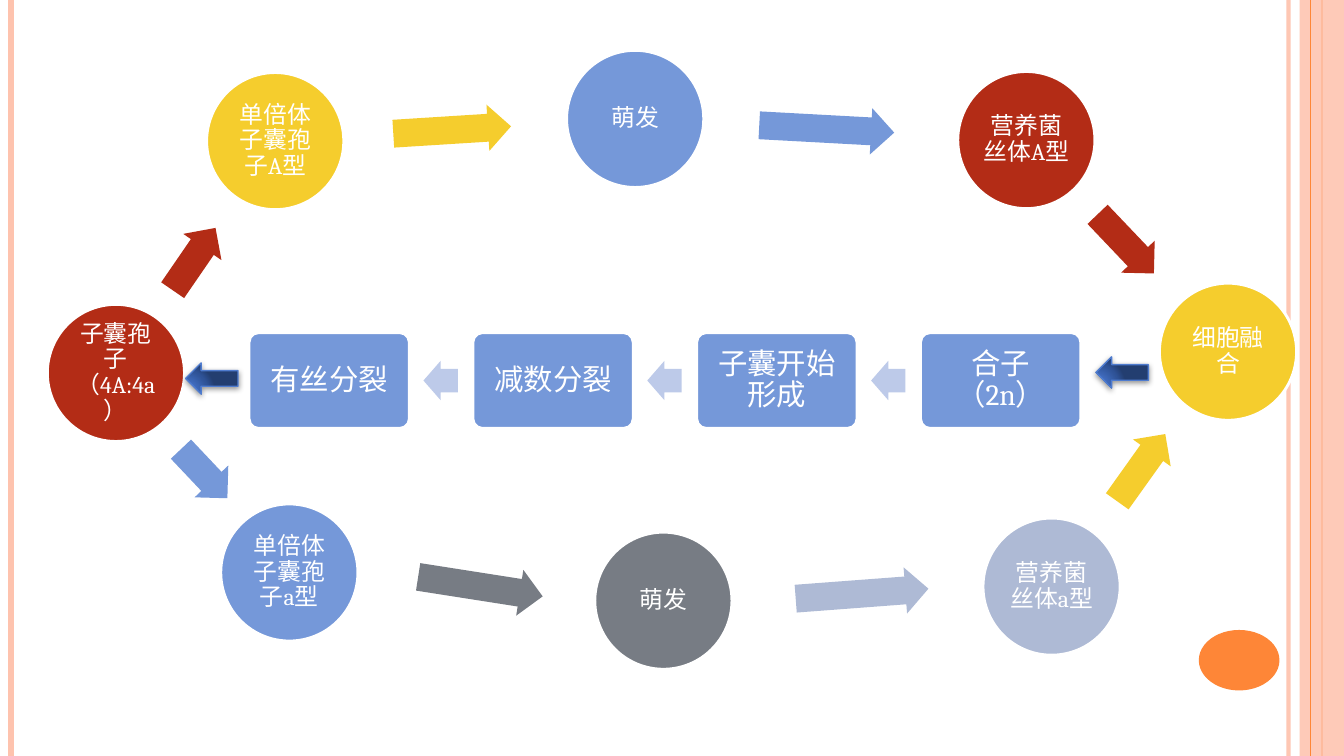
from dataclasses import dataclass

from lxml import etree
from pptx import Presentation
from pptx import util as u
from pptx.dml.color import RGBColor
from pptx.enum import shapes, text
from pptx.oxml import ns

WHITE = RGBColor(0xFF, 0xFF, 0xFF)
PEACH = RGBColor(0xFE, 0xC3, 0xAE)
ORANGE = RGBColor(0xFE, 0x86, 0x37)
BLUE = RGBColor(0x75, 0x98, 0xD9)
PALE = RGBColor(0xBD, 0xCA, 0xE9)
RED = RGBColor(0xB3, 0x2C, 0x16)
YELLOW = RGBColor(0xF5, 0xCD, 0x2D)
MIST = RGBColor(0xAE, 0xBA, 0xD5)
GRAY = RGBColor(0x77, 0x7C, 0x84)
NAVY = RGBColor(0x4F, 0x7C, 0xCF)

FONT = "Cambria"
WIDTH, HEIGHT = 13.33, 7.5
DISC = 1.36
BOX_X, BOX_Y, BOX_W, BOX_H, BOX_STEP = 2.47, 3.3, 1.59, 0.95, 2.22
KIND = shapes.MSO_SHAPE

GLOSS = f"""<a:gradFill {ns.nsdecls("a")} rotWithShape="1"><a:gsLst>
<a:gs pos="0"><a:srgbClr val="4574CC"/></a:gs>
<a:gs pos="30000"><a:srgbClr val="4370C5"/></a:gs>
<a:gs pos="75000"><a:srgbClr val="2F5397"/></a:gs>
<a:gs pos="100000"><a:srgbClr val="233E70"/></a:gs></a:gsLst>
<a:path path="circle"><a:fillToRect l="5000" t="100000" r="120000" b="10000"/></a:path>
</a:gradFill>"""
SHADE = f"""<a:outerShdw {ns.nsdecls("a")} blurRad="50800" dist="20320"
dir="5400000" rotWithShape="0"><a:srgbClr val="000000"><a:alpha val="42000"/></a:srgbClr>
</a:outerShdw>"""


@dataclass
class Rule:
    x: float
    color: RGBColor
    width: float
    alpha: int = 100


@dataclass
class Stage:
    label: str
    x: float
    y: float
    color: RGBColor


@dataclass
class Arrow:
    x: float
    y: float
    w: float
    turn: float
    color: RGBColor
    h: float = 0.46


RULES = [
    Rule(12.78, PEACH, 3, 93),
    Rule(0.11, PEACH, 4.5),
    Rule(13.11, ORANGE, 1.5),
    Rule(13, ORANGE, 0.75),
]
STAGES = [
    Stage("萌发", 5.62, 0.5, BLUE),
    Stage("营养菌丝体A型", 9.5, 0.71, RED),
    Stage("细胞融合", 11.5, 2.81, YELLOW),
    Stage("营养菌丝体a型", 9.75, 5.14, MIST),
    Stage("萌发", 5.9, 5.28, GRAY),
    Stage("单倍体子囊孢子a型", 2.19, 5, BLUE),
    Stage("子囊孢子（4A:4a）", 0.47, 3.02, RED),
    Stage("单倍体子囊孢子A型", 2.05, 0.72, YELLOW),
]
ARROWS = [
    Arrow(7.53, 1.05, 1.34, 3.1, BLUE),
    Arrow(10.76, 2.19, 0.81, 46.4, RED),
    Arrow(10.91, 4.41, 0.82, 305.5, YELLOW),
    Arrow(7.89, 5.66, 1.32, 355.7, MIST),
    Arrow(4.14, 5.59, 1.25, 8.9, GRAY),
    Arrow(1.69, 4.47, 0.67, 46.6, BLUE),
    Arrow(1.55, 2.34, 0.75, 304.5, RED),
    Arrow(3.9, 1.06, 1.17, 356.4, YELLOW),
]
STEPS = ["有丝分裂", "减数分裂", "子囊开始形成", "合子（2n）"]
LINKS = [(10.87, 3.54), (1.84, 3.6)]


def fade(props, alpha: int) -> None:
    tint = props.find(".//" + ns.qn("a:srgbClr"))
    etree.SubElement(tint, ns.qn("a:alpha")).set("val", str(alpha * 1000))


def add_rule(slide, rule: Rule) -> None:
    x = u.Inches(rule.x)
    line = slide.shapes.add_connector(
        shapes.MSO_CONNECTOR.STRAIGHT, x, 0, x, u.Inches(HEIGHT))
    line.line.color.rgb = rule.color
    line.line.width = u.Pt(rule.width)
    props = line._element.spPr
    if rule.alpha < 100:
        fade(props, rule.alpha)
    etree.SubElement(props, ns.qn("a:effectLst"))


def add_form(slide, kind, x: float, y: float, w: float, h: float, color: RGBColor):
    form = slide.shapes.add_shape(
        kind, u.Inches(x), u.Inches(y), u.Inches(w), u.Inches(h))
    form.shadow.inherit = False
    form.fill.solid()
    form.fill.fore_color.rgb = color
    form.line.fill.background()
    return form


def add_label(form, label: str, size: float, inset: float) -> None:
    form.line.color.rgb = WHITE
    form.line.width = u.Pt(2)
    frame = form.text_frame
    frame.word_wrap = True
    frame.vertical_anchor = text.MSO_ANCHOR.MIDDLE
    frame.margin_left = frame.margin_right = u.Inches(inset)
    frame.margin_top = frame.margin_bottom = u.Inches(inset)
    para = frame.paragraphs[0]
    para.text = label
    para.alignment = text.PP_ALIGN.CENTER
    para.line_spacing = 0.9
    para.font.name = FONT
    para.font.size = u.Pt(size)
    para.font.color.rgb = WHITE


def add_arrow(slide, arrow: Arrow) -> None:
    form = add_form(slide, KIND.RIGHT_ARROW, arrow.x, arrow.y, arrow.w, arrow.h,
                    arrow.color)
    form.adjustments[0] = 0.6
    form.adjustments[1] = 0.5
    form.rotation = arrow.turn


def add_link(slide, x: float, y: float) -> None:
    form = add_form(slide, KIND.LEFT_ARROW, x, y, 0.52, 0.31, NAVY)
    form.line.color.rgb = NAVY
    form.line.width = u.Pt(1)
    props = form._element.spPr
    props.replace(props.find(ns.qn("a:solidFill")), etree.fromstring(GLOSS))
    props.find(ns.qn("a:effectLst")).append(etree.fromstring(SHADE))


def main() -> None:
    deck = Presentation()
    deck.slide_width, deck.slide_height = u.Inches(WIDTH), u.Inches(HEIGHT)
    slide = deck.slides.add_slide(deck.slide_layouts[6])

    # Side stripes and corner dot
    for rule in RULES[:3]:
        add_rule(slide, rule)
    band = add_form(slide, KIND.RECTANGLE, 12.89, 0, 0.44, HEIGHT, PEACH)
    fade(band._element.spPr, 87)
    add_rule(slide, RULES[3])
    add_form(slide, KIND.OVAL, 11.89, 6.25, 0.8, 0.6, ORANGE)

    # Outer cycle
    for stage, arrow in zip(STAGES, ARROWS):
        disc = add_form(slide, KIND.OVAL, stage.x, stage.y, DISC, DISC, stage.color)
        add_label(disc, stage.label, 17, 0.02)
        add_arrow(slide, arrow)

    # Middle row, read from right to left
    for i, step in enumerate(STEPS):
        x = BOX_X + i * BOX_STEP
        box = add_form(slide, KIND.ROUNDED_RECTANGLE, x, BOX_Y, BOX_W, BOX_H, BLUE)
        box.adjustments[0] = 0.1
        add_label(box, step, 21, 0.09)
        if i < len(STEPS) - 1:
            add_arrow(slide, Arrow(x + 1.73, 3.58, 0.34, 180, PALE, 0.39))

    # Links between row and cycle
    for x, y in LINKS:
        add_link(slide, x, y)

    deck.save("out.pptx")


if __name__ == "__main__":
    main()
